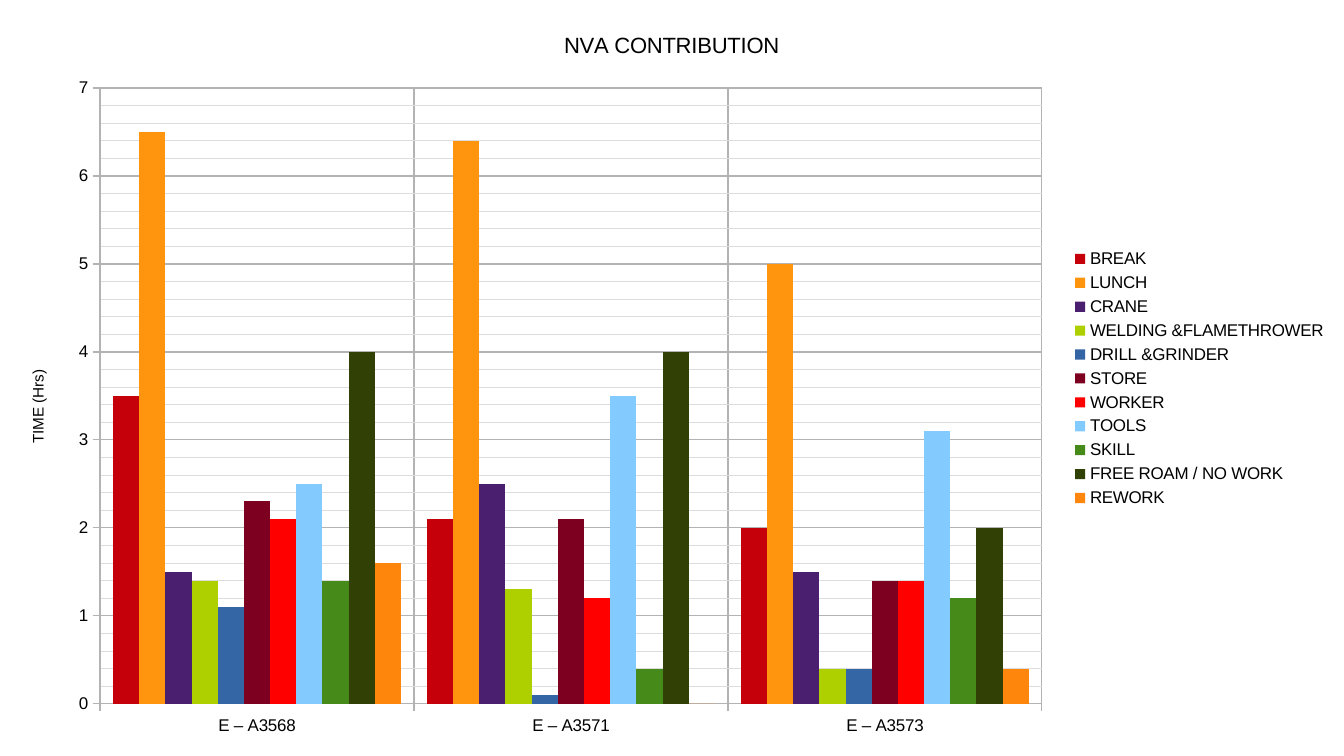
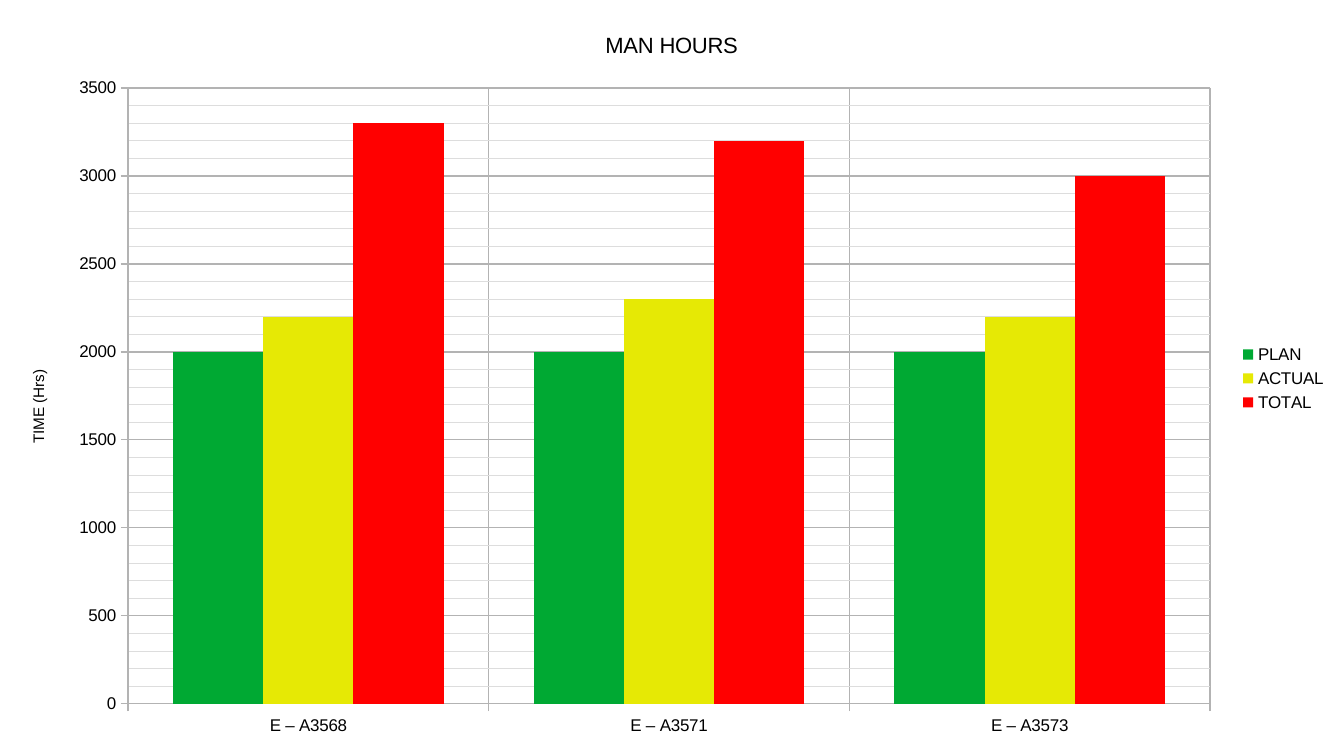
from lxml import etree
from pptx import Presentation
from pptx.chart.data import CategoryChartData
from pptx.dml.color import RGBColor
from pptx.enum.chart import XL_CHART_TYPE, XL_LEGEND_POSITION, XL_TICK_MARK
from pptx.oxml import parse_xml
from pptx.oxml.ns import nsdecls
from pptx.util import Pt

EMU_PER_PX = 7495
SLIDE_SIZE = (1344, 756)
CHART_BOX = (4, 6, 1335, 745)
PLOT_TOP, PLOT_HEIGHT = 88, 616
FONT = "Arial"
COLORS = {
    "background": "FFFFFF",
    "text": "000000",
    "axis": "B3B3B3",
    "minor grid": "DDDDDD",
    "dark red": "C5000B",
    "orange": "FF950E",
    "purple": "4B1F6F",
    "lime": "AECF00",
    "blue": "3465A4",
    "maroon": "7E0021",
    "red": "FF0000",
    "sky": "83CAFF",
    "leaf": "468A1A",
    "olive": "314004",
    "amber": "FF860D",
    "green": "00A933",
    "yellow": "E6E905",
}
CATEGORIES = ["E – A3568", "E – A3571", "E – A3573"]

# Each series: name, colour, one value per category
NVA_SERIES = [
    ("BREAK", "dark red", (3.5, 2.1, 2)),
    ("LUNCH", "orange", (6.5, 6.4, 5)),
    ("CRANE", "purple", (1.5, 2.5, 1.5)),
    ("WELDING &FLAMETHROWER", "lime", (1.4, 1.3, 0.4)),
    ("DRILL &GRINDER", "blue", (1.1, 0.1, 0.4)),
    ("STORE", "maroon", (2.3, 2.1, 1.4)),
    ("WORKER", "red", (2.1, 1.2, 1.4)),
    ("TOOLS", "sky", (2.5, 3.5, 3.1)),
    ("SKILL", "leaf", (1.4, 0.4, 1.2)),
    ("FREE ROAM / NO WORK", "olive", (4, 4, 2)),
    ("REWORK", "amber", (1.6, 0, 0.4)),
]
MAN_HOUR_SERIES = [
    ("PLAN", "green", (2000, 2000, 2000)),
    ("ACTUAL", "yellow", (2200, 2300, 2200)),
    ("TOTAL", "red", (3300, 3200, 3000)),
]


def px(length):
    return length * EMU_PER_PX


def color(name):
    return RGBColor.from_string(COLORS[name])


class Deck:
    """Holds the shared style and the current slide."""

    def __init__(self):
        self.presentation = Presentation()
        self.presentation.slide_width, self.presentation.slide_height = map(px, SLIDE_SIZE)
        self.slide = None

    def add_slide(self):
        self.slide = self.presentation.slides.add_slide(self.presentation.slide_layouts[6])
        fill = self.slide.background.fill
        fill.solid()
        fill.fore_color.rgb = color("background")

    def style_font(self, font, size):
        font.name = FONT
        font.size = Pt(size)
        font.bold = False
        font.color.rgb = color("text")

    def style_line(self, line, name):
        line.color.rgb = color(name)
        line.width = Pt(0)

    def set_title(self, title, text, size):
        title.text_frame.text = text
        self.style_font(title.text_frame.paragraphs[0].runs[0].font, size)

    def style_axis(self, axis):
        axis.major_tick_mark = XL_TICK_MARK.OUTSIDE
        axis.minor_tick_mark = XL_TICK_MARK.NONE
        axis.has_major_gridlines = True
        self.style_line(axis.format.line, "axis")
        self.style_line(axis.major_gridlines.format.line, "axis")
        self.style_font(axis.tick_labels.font, 10)

    def style_minor_gridlines(self, axis):
        axis.has_minor_gridlines = True
        gridlines = axis._element.xpath("c:minorGridlines")[0]
        gridlines.append(parse_xml(
            f'<c:spPr {nsdecls("c", "a")}><a:ln w="0"><a:solidFill>'
            f'<a:srgbClr val="{COLORS["minor grid"]}"/>'
            '</a:solidFill></a:ln></c:spPr>'))

    def style_value_axis(self, axis, maximum, step):
        self.style_axis(axis)
        axis.minimum_scale, axis.maximum_scale = 0, maximum
        axis.major_unit, axis.minor_unit = step, step / 5
        self.style_minor_gridlines(axis)
        axis.tick_labels.number_format = "General"
        axis.tick_labels.number_format_is_linked = False
        self.set_title(axis.axis_title, "TIME (Hrs)", 9)
        body = axis.axis_title._element.xpath(".//a:bodyPr")[0]
        body.set("rot", "-5400000")
        body.set("vert", "horz")

    def place_plot(self, chart, left, width):
        """Fix the inner plot area as fractions of the chart frame."""
        chart_left, chart_top, chart_width, chart_height = CHART_BOX
        layout = parse_xml(
            f'<c:layout {nsdecls("c")}><c:manualLayout/></c:layout>')
        settings = {
            "layoutTarget": "inner",
            "xMode": "edge",
            "yMode": "edge",
            "x": round((left - chart_left) / chart_width, 4),
            "y": round((PLOT_TOP - chart_top) / chart_height, 4),
            "w": round(width / chart_width, 4),
            "h": round(PLOT_HEIGHT / chart_height, 4),
        }
        namespace = etree.QName(layout).namespace
        for tag, value in settings.items():
            etree.SubElement(layout[0], f"{{{namespace}}}{tag}").set("val", str(value))
        plot_area = chart._chartSpace.xpath("c:chart/c:plotArea")[0]
        for old_layout in plot_area.xpath("c:layout"):
            plot_area.remove(old_layout)
        plot_area.insert(0, layout)

    def add_column_chart(self, title, series_rows, maximum, step, plot_left, plot_width):
        data = CategoryChartData()
        data.categories = CATEGORIES
        for name, _, values in series_rows:
            data.add_series(name, values)
        chart = self.slide.shapes.add_chart(
            XL_CHART_TYPE.COLUMN_CLUSTERED, *map(px, CHART_BOX), data).chart
        self.style_font(chart.font, 10)

        # Title and legend
        chart.has_title = True
        self.set_title(chart.chart_title, title, 13)
        chart.has_legend = True
        chart.legend.position = XL_LEGEND_POSITION.RIGHT
        chart.legend.include_in_layout = False
        self.style_font(chart.legend.font, 10)

        # Axes and plot area
        self.style_axis(chart.category_axis)
        self.style_value_axis(chart.value_axis, maximum, step)
        self.place_plot(chart, plot_left, plot_width)

        # Columns
        plot = chart.plots[0]
        plot.gap_width = 100
        plot.overlap = 0
        plot.vary_by_categories = False
        for series, (_, fill_name, _) in zip(plot.series, series_rows):
            series.invert_if_negative = False
            series.format.fill.solid()
            series.format.fill.fore_color.rgb = color(fill_name)
            series.format.line.fill.background()


def main():
    deck = Deck()

    # Slide 1: hours lost per cause
    deck.add_slide()
    deck.add_column_chart("NVA CONTRIBUTION", NVA_SERIES, 7, 1, 100, 942)

    # Slide 2: planned and actual hours
    deck.add_slide()
    deck.add_column_chart("MAN HOURS", MAN_HOUR_SERIES, 3500, 500, 128, 1082)

    deck.presentation.save("out.pptx")


if __name__ == "__main__":
    main()
